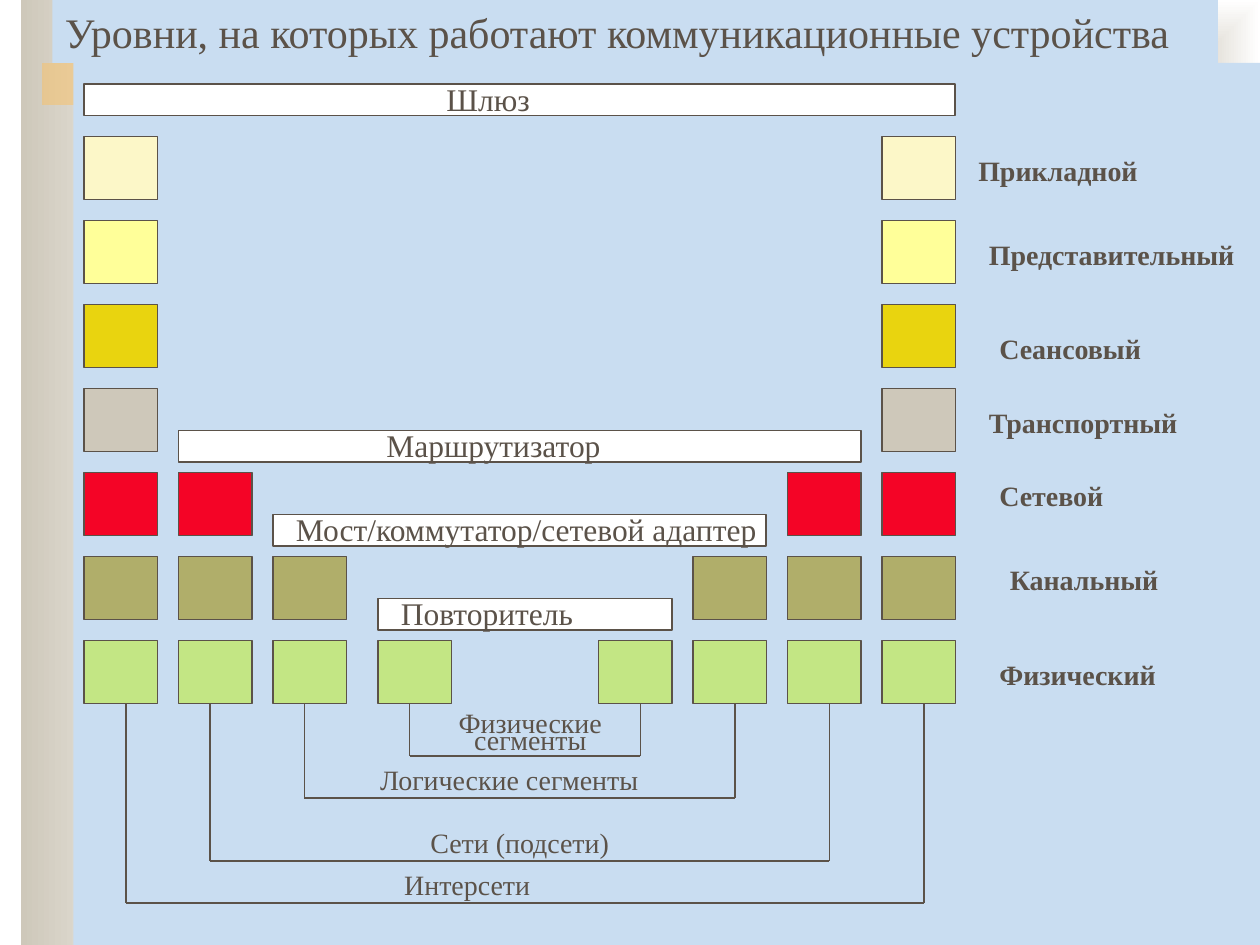
from lxml import etree
from pptx import Presentation
from pptx.dml.color import RGBColor
from pptx.enum.shapes import MSO_CONNECTOR, MSO_SHAPE
from pptx.enum.text import MSO_ANCHOR, PP_ALIGN
from pptx.oxml import parse_xml
from pptx.oxml.ns import nsdecls, qn
from pptx.util import Emu, Pt

PX = 7620
FONT = "Times New Roman"
INK = RGBColor(0x5B, 0x52, 0x49)
WHITE = RGBColor(0xFF, 0xFF, 0xFF)
SKY = RGBColor(0xC9, 0xDD, 0xF1)
STONE = RGBColor(0xCE, 0xC8, 0xBA)
ORANGE = RGBColor(0xFA, 0xC1, 0x64)
CREAM = RGBColor(0xFC, 0xF7, 0xC8)
YELLOW = RGBColor(0xFF, 0xFF, 0x99)
GOLD = RGBColor(0xE9, 0xD4, 0x0F)
RED = RGBColor(0xF4, 0x04, 0x26)
OLIVE = RGBColor(0xB0, 0xAE, 0x6A)
GREEN = RGBColor(0xC3, 0xE6, 0x84)
LEFT, CENTER = PP_ALIGN.LEFT, PP_ALIGN.CENTER

TITLE = "Уровни, на которых работают коммуникационные устройства"
# name, colour, label left, label top, label width
LEVELS = [
    ("Прикладной", CREAM, 920, 140, 230),
    ("Представительный", YELLOW, 930, 220, 270),
    ("Сеансовый", GOLD, 940, 310, 230),
    ("Транспортный", STONE, 930, 380, 230),
    ("Сетевой", RED, 940, 450, 230),
    ("Канальный", OLIVE, 950, 530, 230),
    ("Физический", GREEN, 940, 620, 180),
]
# name, top level, left column, right column, bar top, text left, text width, alignment
DEVICES = [
    ("Шлюз", 0, 80, 840, 80, 140, 650, CENTER),
    ("Маршрутизатор", 4, 170, 750, 410, 180, 580, CENTER),
    ("Мост/коммутатор/сетевой адаптер", 5, 260, 660, 490, 270, 510, LEFT),
    ("Повторитель", 6, 360, 570, 570, 370, 280, LEFT),
]
# name, left, right, bottom, text left, text width, line spacing
SEGMENTS = [
    ("Физические\nсегменты", 390, 610, 720, 310, 390, 0.5),
    ("Логические сегменты", 290, 700, 760, 300, 370, 1.0),
    ("Сети (подсети)", 200, 790, 820, 240, 510, 1.0),
    ("Интерсети", 120, 880, 860, 240, 410, 1.0),
]
BOX_W, BOX_H, LEVEL_TOP, LEVEL_PITCH = 70, 60, 130, 80
BOXES_BOTTOM = LEVEL_TOP + 6 * LEVEL_PITCH + BOX_H


def emu(*lengths):
    return [Emu(length * PX) for length in lengths]


def add_box(shapes, left, top, width, height, fill=None, line_width=None):
    box = shapes.add_shape(MSO_SHAPE.RECTANGLE, *emu(left, top, width, height))
    box.shadow.inherit = False
    if fill is not None:
        box.fill.solid()
        box.fill.fore_color.rgb = fill
    if line_width:
        box.line.color.rgb = INK
        box.line.width = Pt(line_width)
    else:
        box.line.fill.background()
    return box


def add_gradient_box(shapes, left, top, width, height):
    box = add_box(shapes, left, top, width, height)
    box.fill.gradient()
    box.fill.gradient_angle = 0
    for stop, color in zip(box.fill.gradient_stops, (STONE, WHITE)):
        stop.color.rgb = color
    return box


def write(holder, text, size, align=LEFT, bold=False, spacing=1.0):
    frame = holder.text_frame
    frame.word_wrap = True
    frame.vertical_anchor = MSO_ANCHOR.TOP
    frame.text = text
    for paragraph in frame.paragraphs:
        paragraph.alignment = align
        paragraph.line_spacing = spacing
        font = paragraph.runs[0].font
        font.name, font.size, font.bold = FONT, Pt(size), bold
        font.color.rgb = INK


def add_text(shapes, left, top, width, height, text, size, **style):
    write(shapes.add_textbox(*emu(left, top, width, height)), text, size, **style)


def add_line(shapes, *ends):
    line = shapes.add_connector(MSO_CONNECTOR.STRAIGHT, *emu(*ends))
    line.line.color.rgb = INK
    line.line.width = Pt(1)
    etree.SubElement(line._element.spPr, qn("a:effectLst"))


def add_backdrop(shapes):
    add_gradient_box(shapes, 20, 0, 190, 900)
    corner = add_gradient_box(shapes, 220, 0, 980, 160)
    linear = corner._element.spPr.find(qn("a:gradFill")).find(qn("a:lin"))
    linear.getparent().replace(linear, parse_xml(
        f'<a:path {nsdecls("a")} path="shape">'
        '<a:fillToRect l="50000" t="50000" r="50000" b="50000"/></a:path>'))
    accent = add_box(shapes, 40, 60, 330, 40, ORANGE)
    color = accent._element.spPr.find(qn("a:solidFill"))[0]
    etree.SubElement(color, qn("a:alpha"), val="50000")
    add_box(shapes, 70, 60, 1130, 840, SKY)
    write(add_box(shapes, 50, 0, 1110, 60, SKY), TITLE, 24)


def main():
    deck = Presentation()
    deck.slide_width, deck.slide_height = emu(1200, 900)
    shapes = deck.slides.add_slide(deck.slide_layouts[6]).shapes
    add_backdrop(shapes)

    for level, (name, color, left, top, width) in enumerate(LEVELS):
        row_top = LEVEL_TOP + level * LEVEL_PITCH
        for _, top_level, *columns in DEVICES:
            if level >= top_level:
                for column in columns[:2]:
                    add_box(shapes, column, row_top, BOX_W, BOX_H, color, 0.75)
        add_text(shapes, left, top, width, 44, name, 16, bold=True)

    for name, _, left, right, top, text_left, text_width, align in DEVICES:
        add_box(shapes, left, top, right + BOX_W - left, 30, WHITE, 1)
        add_text(shapes, text_left, top - 10, text_width, 48, name, 18, align=align)

    for name, left, right, bottom, text_left, text_width, spacing in SEGMENTS:
        add_line(shapes, left, BOXES_BOTTOM, left, bottom)
        add_line(shapes, left, bottom, right, bottom)
        add_line(shapes, right, bottom, right, BOXES_BOTTOM)
        add_text(shapes, text_left, bottom - 40, text_width, 44, name, 16,
                 align=CENTER, spacing=spacing)

    deck.save("out.pptx")


if __name__ == "__main__":
    """Draws the network levels and the devices that work on them."""
    main()
